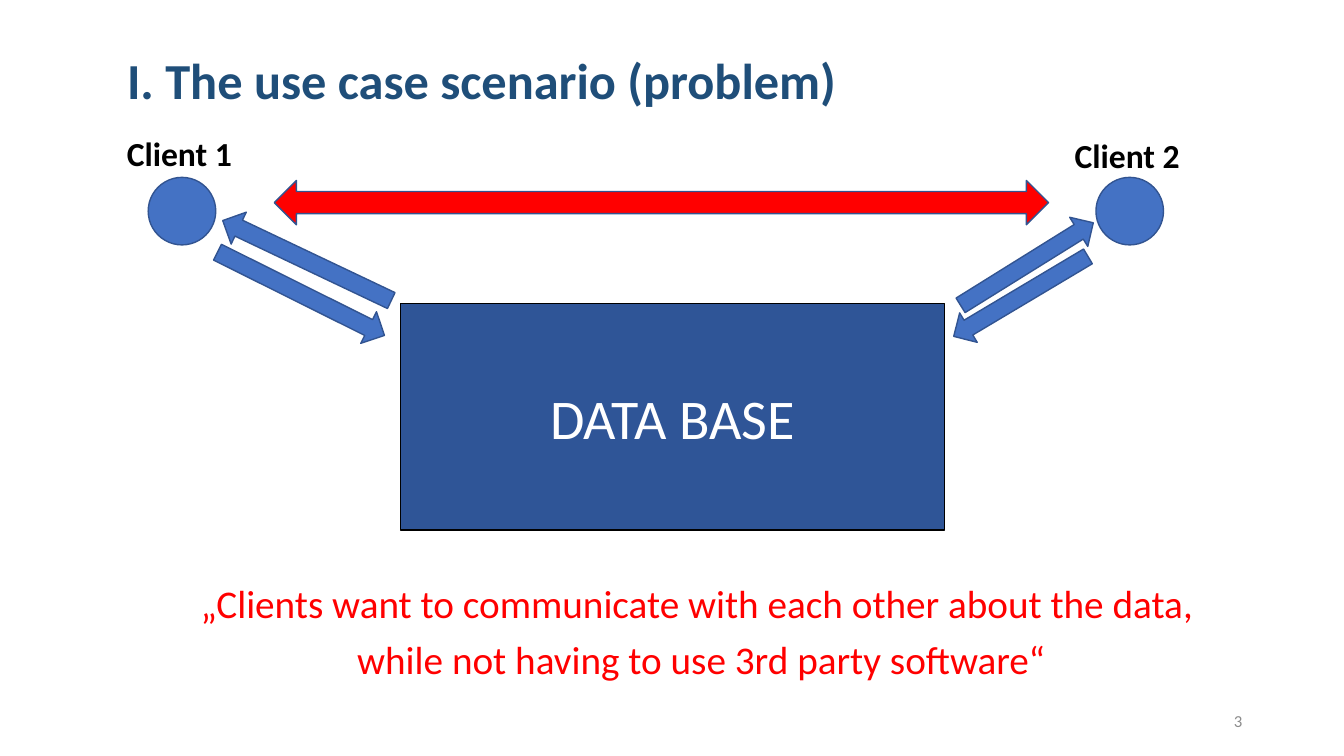
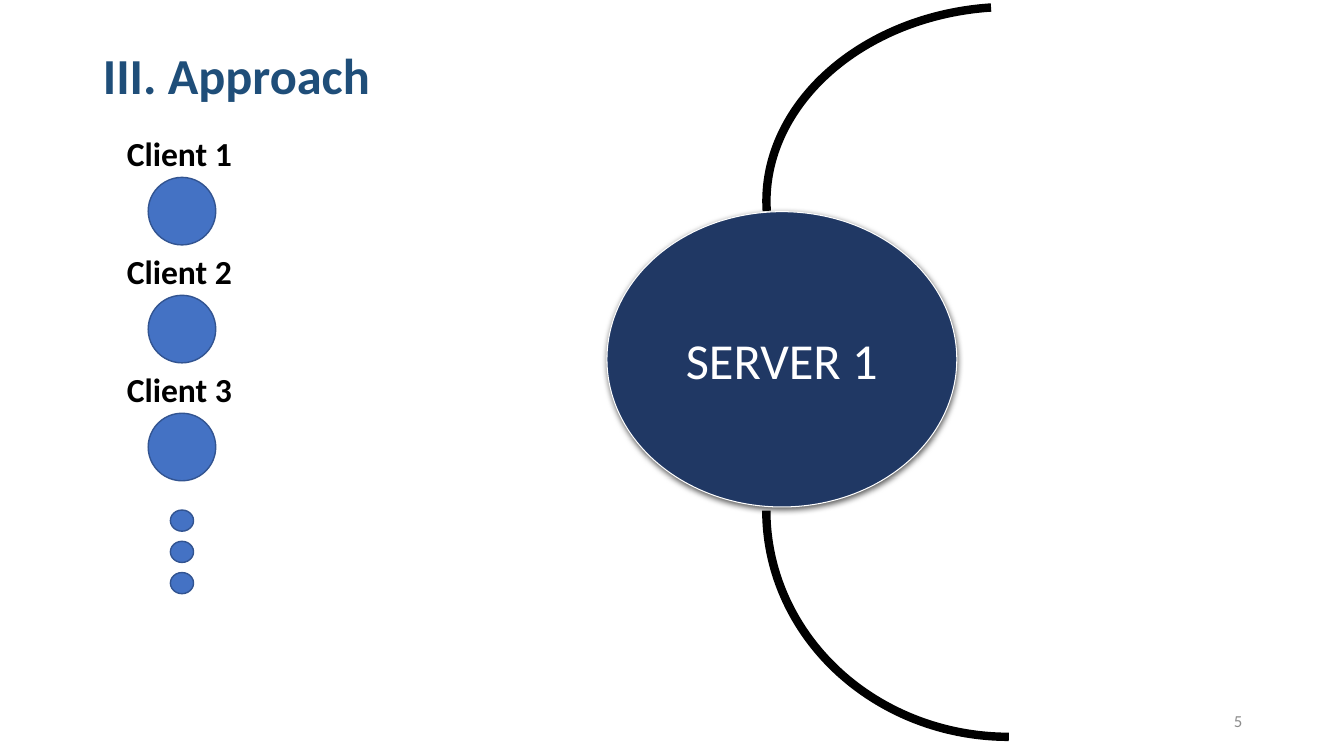
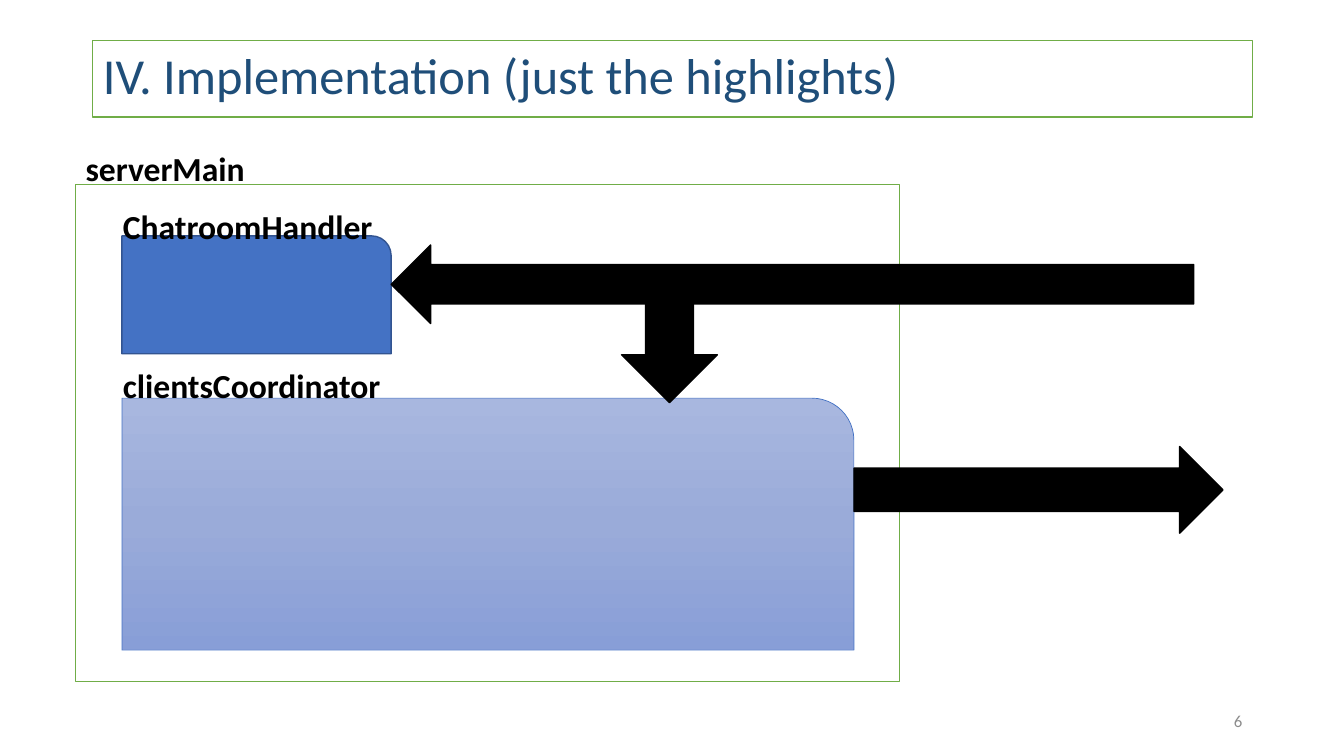
import copy
from dataclasses import dataclass
from typing import Any, Optional

import lxml.etree
import pptx
import pptx.dml.color
import pptx.enum.shapes
import pptx.enum.text
import pptx.oxml.ns
import pptx.util

Box = tuple[float, float, float, float]
Preset = pptx.enum.shapes.MSO_SHAPE
Align = pptx.enum.text.PP_ALIGN
Anchor = pptx.enum.text.MSO_ANCHOR
Fit = pptx.enum.text.MSO_AUTO_SIZE
Inches = pptx.util.Inches
Pt = pptx.util.Pt
qn = pptx.oxml.ns.qn

COLORS = {
    "title": "1F4E79",
    "blue": "4472C4",
    "edge": "325491",
    "database": "2F5597",
    "server": "203864",
    "green": "70AD47",
    "red": "FF0000",
    "black": "000000",
    "white": "FFFFFF",
    "grey": "8C8C8C",
    "pale_top": "A8B7DF",
    "pale_middle": "9AABD9",
    "pale_bottom": "889ED7",
}
FONT = "Calibri"
TITLE_BOX = (0.92, 0.4, 11.5, 0.76)
NUMBER_BOX = (9.42, 6.95, 3, 0.4)
CLIENT_LEFT = 1.16
CLIENT_PITCH = 1.17
CIRCLE_TOP = 1.76


@dataclass(frozen=True)
class Figure:
    preset: Any
    box: Box
    fill: Optional[str] = "blue"
    line: str = "edge"
    weight: float = 1
    rotation: float = 0
    text: str = ""
    size: float = 36


@dataclass(frozen=True)
class Label:
    text: str
    box: Box


def color(name: str) -> pptx.dml.color.RGBColor:
    return pptx.dml.color.RGBColor.from_string(COLORS[name])


def apply(target: Any, values: dict[str, Any]) -> None:
    for name, value in values.items():
        setattr(target, name, value)


def place(shape: Any, box: Box) -> None:
    apply(shape, dict(zip(("left", "top", "width", "height"), map(Inches, box))))


def write(shape: Any, lines: list[str], font: dict[str, Any],
          para_format: dict[str, Any], frame_format: dict[str, Any]) -> None:
    frame = shape.text_frame
    apply(frame, {"word_wrap": True, **frame_format})
    for index, line in enumerate(lines):
        para = frame.add_paragraph() if index else frame.paragraphs[0]
        apply(para, para_format)
        span = para.add_run()
        span.text = line
        apply(span.font, {"name": FONT, **{key: value for key, value in font.items() if key != "color"}})
        span.font.color.rgb = color(font["color"])


def paint(shape: Any, fill: Optional[str], line: str, weight: float) -> None:
    if fill:
        shape.fill.solid()
        shape.fill.fore_color.rgb = color(fill)
    else:
        shape.fill.background()
    shape.line.color.rgb = color(line)
    shape.line.width = Pt(weight)


def add_figure(page: Any, figure: Figure) -> Any:
    shape = page.shapes.add_shape(figure.preset, *map(Inches, figure.box))
    shape.shadow.inherit = False
    shape.rotation = figure.rotation
    paint(shape, figure.fill, figure.line, figure.weight)
    if figure.text:
        write(shape, [figure.text], {"size": Pt(figure.size), "color": "white"},
              {"alignment": Align.CENTER}, {"vertical_anchor": Anchor.MIDDLE})
    return shape


def add_label(page: Any, label: Label) -> None:
    box = page.shapes.add_textbox(*map(Inches, label.box))
    write(box, [label.text], {"size": Pt(24), "bold": True, "color": "black"},
          {}, {"auto_size": Fit.SHAPE_TO_FIT_TEXT})


def add_client(page: Any, number: int, left: float, label_top: float, circle_top: float) -> None:
    add_figure(page, Figure(Preset.OVAL, (left + 0.31, circle_top, 0.67, 0.67)))
    add_label(page, Label(f"Client {number}", (left, label_top, 2.17, 0.5)))


def add_page(deck: Any, layout: int, title: str, number: int,
             box: Box = TITLE_BOX, bold: bool = True) -> Any:
    page = deck.slides.add_slide(deck.slide_layouts[layout])
    place(page.shapes.title, box)
    write(page.shapes.title, [title], {"size": Pt(36), "bold": bold, "color": "title"},
          {"alignment": Align.LEFT, "line_spacing": 0.9},
          {"vertical_anchor": Anchor.MIDDLE, "auto_size": Fit.NONE})
    footer = page.shapes.add_textbox(*map(Inches, NUMBER_BOX))
    write(footer, [str(number)], {"size": Pt(12), "color": "grey"},
          {"alignment": Align.RIGHT}, {"vertical_anchor": Anchor.MIDDLE})
    return page


def add_shadow(shape: Any) -> None:
    effects = shape._element.spPr.find(qn("a:effectLst"))
    shadow = lxml.etree.SubElement(effects, qn("a:outerShdw"), blurRad=str(Pt(4.5)),
                                   dist=str(Pt(1.5)), dir="5400000", rotWithShape="0")
    tint = lxml.etree.SubElement(shadow, qn("a:srgbClr"), val=COLORS["black"])
    lxml.etree.SubElement(tint, qn("a:alpha"), val="63000")


def shade(shape: Any, names: list[str]) -> None:
    shape.fill.gradient()
    shape.fill.gradient_angle = 270
    stops = shape._element.spPr.find(qn("a:gradFill")).find(qn("a:gsLst"))
    stops.insert(1, copy.deepcopy(stops[0]))
    for index, (stop, name) in enumerate(zip(shape.fill.gradient_stops, names)):
        stop.position = index / (len(names) - 1)
        stop.color.rgb = color(name)


def build_scenario(deck: Any) -> None:
    page = add_page(deck, 1, "I. The use case scenario (problem)", 3, (1.16, 0.45, 11.5, 0.76))
    body = page.placeholders[1]
    place(body, (1.28, 5.75, 11.26, 1.11))
    quote = ["„Clients want to communicate with each other about the data,",
             " while not having to use 3rd party software“"]
    write(body, quote, {"size": Pt(28), "color": "red"},
          {"alignment": Align.CENTER, "line_spacing": 0.9, "space_before": Pt(10)},
          {"auto_size": Fit.NONE})
    for para in body.text_frame.paragraphs:
        properties = para._p.get_or_add_pPr()
        properties.set("marL", "0")
        properties.set("indent", "0")
        lxml.etree.SubElement(properties, qn("a:buNone"))
    add_client(page, 1, CLIENT_LEFT, 1.27, CIRCLE_TOP)
    add_client(page, 2, 10.56, 1.29, CIRCLE_TOP)
    figures = [
        Figure(Preset.RECTANGLE, (3.97, 3.01, 5.4, 2.25), "database", "black", text="DATA BASE", size=40),
        Figure(Preset.RIGHT_ARROW, (2.06, 2.74, 1.85, 0.35), rotation=26.5),
        Figure(Preset.RIGHT_ARROW, (2.12, 2.41, 1.85, 0.35), rotation=205.4),
        Figure(Preset.RIGHT_ARROW, (9.35, 2.77, 1.55, 0.34), rotation=149.2),
        Figure(Preset.RIGHT_ARROW, (9.41, 2.45, 1.55, 0.34), rotation=328.1),
        Figure(Preset.LEFT_RIGHT_ARROW, (2.72, 1.79, 7.68, 0.44), "red"),
    ]
    for figure in figures:
        add_figure(page, figure)


def build_approach(deck: Any) -> None:
    page = add_page(deck, 5, "III. Approach", 5)
    for index in range(3):
        step = index * CLIENT_PITCH
        add_client(page, index + 1, CLIENT_LEFT, 1.27 + step, CIRCLE_TOP + step)
    for index in range(3):
        add_figure(page, Figure(Preset.OVAL, (1.69, 5.06 + index * 0.31, 0.23, 0.21)))
    server = Figure(Preset.OVAL, (6.02, 2.1, 3.47, 2.93), "server", "white", 0.75, text="SERVER 1")
    add_shadow(add_figure(page, server))
    for box, rotation in (((8.08, -0.41, 3.74, 4.7), 266.3), ((7.6, 2.82, 4.81, 4.49), 180)):
        add_figure(page, Figure(Preset.ARC, box, None, "black", 6, rotation))


def build_implementation(deck: Any) -> None:
    page = add_page(deck, 5, "IV. Implementation (just the highlights)", 6, bold=False)
    paint(page.shapes.title, "white", "green", 1)
    add_figure(page, Figure(Preset.RECTANGLE, (0.75, 1.83, 8.17, 4.93), "white", "green"))
    add_figure(page, Figure(Preset.ROUND_1_RECTANGLE, (1.21, 2.34, 2.67, 1.17)))
    coordinator = add_figure(page, Figure(Preset.ROUND_1_RECTANGLE, (1.21, 3.95, 7.26, 2.5),
                                          line="blue", weight=0.5))
    shade(coordinator, ["pale_top", "pale_middle", "pale_bottom"])
    labels = [
        Label("serverMain", (0.75, 1.42, 2.43, 0.5)),
        Label("clientsCoordinator", (1.12, 3.57, 3.1, 0.5)),
        Label("ChatroomHandler", (1.12, 1.99, 3.1, 0.5)),
    ]
    for label in labels:
        add_label(page, label)
    arrows = [
        ((8.47, 4.43, 3.66, 0.86), 0),
        ((6.12, 3, 1.04, 0.95), 90),
        ((3.88, 2.43, 7.96, 0.78), 180),
    ]
    for box, rotation in arrows:
        add_figure(page, Figure(Preset.RIGHT_ARROW, box, "black", "black", rotation=rotation))


def main() -> None:
    deck = pptx.Presentation()
    apply(deck, {"slide_width": Inches(13.33), "slide_height": Inches(7.5)})
    build_scenario(deck)
    build_approach(deck)
    build_implementation(deck)
    deck.save("out.pptx")


if __name__ == "__main__":
    main()
